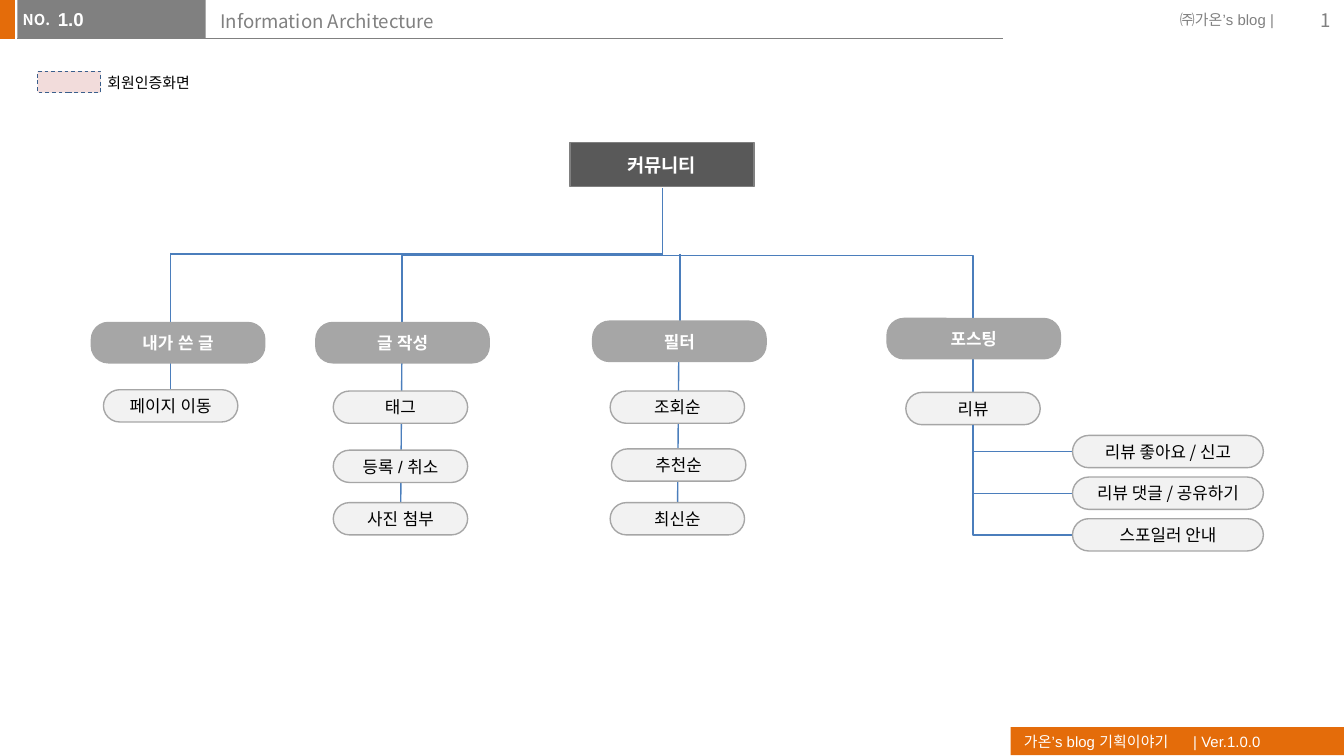
from lxml.etree import SubElement
from pptx import Presentation
from pptx.dml.color import RGBColor
from pptx.enum.dml import MSO_LINE
from pptx.enum.shapes import MSO_CONNECTOR, MSO_SHAPE
from pptx.enum.text import MSO_ANCHOR, MSO_AUTO_SIZE, PP_ALIGN
from pptx.oxml.ns import qn
from pptx.util import Inches, Pt

COLORS = {
    "orange": "E46C0A", "gray": "808080", "dark": "595959", "middle": "A6A6A6",
    "light": "F2F2F2", "pink": "F2DCDB", "navy": "3A5F8C", "blue": "4B7EBC",
    "white": "FFFFFF", "black": "000000",
}
KOREAN, LATIN = "Noto Sans CJK KR", "Arial"

TITLE, NUMBER = "Information Architecture", "1.0"
FOOTER = "가온’s blog 기획이야기\t| Ver.1.0.0"
BARS = [
    ((-0.01, 0, 0.12, 0.29), "orange"),
    ((0.13, 0, 1.4, 0.29), "gray"),
]
# place, text, size, font, colour, bold, alignment, anchor
LABELS = [
    ((0.07, 0.03, 0.41, 0.24), "NO.", 8, KOREAN, "white", True, PP_ALIGN.LEFT, MSO_ANCHOR.TOP),
    ((8.68, 0.03, 0.95, 0.24), "㈜가온’s blog |", 8, LATIN, "gray", False, PP_ALIGN.LEFT, MSO_ANCHOR.TOP),
    ((9.4, 0, 0.6, 0.3), "1", 10, KOREAN, "gray", False, PP_ALIGN.RIGHT, MSO_ANCHOR.MIDDLE),
    ((0.7, 0.5, 0.91, 0.24), "회원인증화면", 8, KOREAN, "black", False, PP_ALIGN.LEFT, MSO_ANCHOR.TOP),
]
ROOT = ((4.24, 1.06, 1.37, 0.33), "커뮤니티")
# heading, left and top of heading, font, then pages as (text, left, top)
BRANCHES = [
    ("내가 쓴 글", 0.68, 2.4, LATIN, [("페이지 이동", 0.77, 2.9)]),
    ("글 작성", 2.35, 2.4, LATIN,
     [("태그", 2.48, 2.91), ("등록 / 취소", 2.48, 3.35), ("사진 첨부", 2.48, 3.74)]),
    ("필터", 4.41, 2.39, LATIN,
     [("조회순", 4.54, 2.91), ("추천순", 4.55, 3.34), ("최신순", 4.54, 3.74)]),
    ("포스팅", 6.6, 2.37, KOREAN, [("리뷰", 6.74, 2.92)]),
]
REVIEWS = ["리뷰 좋아요 / 신고", "리뷰 댓글 / 공유하기", "스포일러 안내"]
REVIEW_LEFT, REVIEW_TOP, REVIEW_STEP, REVIEW_WIDTH = 7.98, 3.24, 0.31, 1.42
HEADING_WIDTH, HEADING_HEIGHT = 1.29, 0.3
PAGE_WIDTH, PAGE_HEIGHT = 1, 0.24
STEM, POSTING = 4.93, 7.24
LINES = [
    ((1.27, 1.88), (1.27, 3.14)),
    ((2.99, 2.7), (2.98, 3.98)),
    ((5.06, 1.89), (5.06, 2.43)),
    ((5.05, 2.69), (5.04, 3.97)),
    ((POSTING, 2.67), (POSTING, 2.92)),
]
# start, end, position of the middle bend (None for a single bend)
ELBOWS = [
    ((STEM, 1.4), (2.99, 2.4), 0.5),
    ((STEM, 1.4), (POSTING, 2.37), 0.518),
    ((STEM, 1.4), (1.27, 1.89), None),
]


def color(name):
    """Return the named colour."""
    return RGBColor.from_string(COLORS[name])


def write(frame, text, size, font, ink, bold=False, align=PP_ALIGN.LEFT,
          anchor=MSO_ANCHOR.TOP, before=0):
    """Put one formatted paragraph into a text frame."""
    frame.auto_size, frame.vertical_anchor = MSO_AUTO_SIZE.NONE, anchor
    para = frame.paragraphs[0]
    para.alignment, para.space_before = align, Pt(before)
    span = para.add_run()
    span.text = text
    for name, value in {"size": Pt(size), "name": font, "bold": bold}.items():
        setattr(span.font, name, value)
    span.font.color.rgb = color(ink)
    SubElement(span.font._element, qn("a:ea")).set("typeface", font)
    return para


def set_margins(frame, side, end):
    """Set the horizontal and vertical insets of a text frame."""
    frame.margin_left = frame.margin_right = Inches(side)
    frame.margin_top = frame.margin_bottom = Inches(end)


def add_box(place, fill, line=None, width=0.75, rounding=None):
    """Add a plain or rounded rectangle."""
    kind = MSO_SHAPE.RECTANGLE if rounding is None else MSO_SHAPE.ROUNDED_RECTANGLE
    box = page.shapes.add_shape(kind, *map(Inches, place))
    box.shadow.inherit = False
    if rounding is not None:
        box.adjustments[0] = rounding
    box.fill.solid()
    box.fill.fore_color.rgb = color(fill)
    if line:
        box.line.color.rgb, box.line.width = color(line), Pt(width)
    else:
        box.line.fill.background()
    return box


def add_node(place, text, fill, line, size, font, ink, bold, rounding=None):
    """Add one labelled box of the tree."""
    box = add_box(place, fill, line, rounding=rounding)
    set_margins(box.text_frame, 0.02, 0.02)
    box.text_frame.word_wrap = True
    write(box.text_frame, text, size, font, ink, bold,
          PP_ALIGN.CENTER, MSO_ANCHOR.MIDDLE, before=1)


def add_page_node(text, left, top, font, width=PAGE_WIDTH):
    """Add a pale pill for one screen."""
    add_node((left, top, width, PAGE_HEIGHT), text, "light", "middle", 9, font, "black", False, 0.5)


def add_line(start, end, ink="blue", width=0.75, kind=MSO_CONNECTOR.STRAIGHT):
    """Add a connector without shadow."""
    line = page.shapes.add_connector(kind, *map(Inches, (*start, *end)))
    line.line.color.rgb, line.line.width = color(ink), Pt(width)
    SubElement(line._element.spPr, qn("a:effectLst"))
    return line


def add_elbow(start, end, bend=None):
    """Add a bent connector that leaves its start downwards."""
    (x1, y1), (x2, y2) = start, end
    middle_x, middle_y = (x1 + x2) / 2, (y1 + y2) / 2
    half_x, half_y = (y2 - y1) / 2, (x1 - x2) / 2
    elbow = add_line((middle_x - half_x, middle_y - half_y),
                     (middle_x + half_x, middle_y + half_y), kind=MSO_CONNECTOR.ELBOW)
    properties = elbow._element.spPr
    properties.find(qn("a:xfrm")).set("rot", str(90 * 60000))
    geometry = properties.find(qn("a:prstGeom"))
    if bend is None:
        geometry.set("prst", "bentConnector2")
    else:
        guide = SubElement(geometry.find(qn("a:avLst")), qn("a:gd"))
        guide.set("name", "adj1")
        guide.set("fmla", f"val {round(bend * 100000)}")


def place_placeholder(holder, place):
    """Move a placeholder to its place."""
    for name, value in zip(("left", "top", "width", "height"), place):
        setattr(holder, name, Inches(value))
    return holder.text_frame


deck = Presentation()
deck.slide_width = Inches(10)
deck.slide_height = deck.slide_width * 9 // 16
page = deck.slides.add_slide(deck.slide_layouts[1])

for place, fill in BARS:
    add_box(place, fill)
add_line((0.13, 0.29), (7.46, 0.29), "gray", 0.5)

footer = add_box((7.52, 5.41, 2.48, 0.21), "orange")
para = write(footer.text_frame, FOOTER, 8, LATIN, "white", anchor=MSO_ANCHOR.MIDDLE)
stop = SubElement(SubElement(para._p.get_or_add_pPr(), qn("a:tabLst")), qn("a:tab"))
stop.set("pos", str(Inches(1.26)))
stop.set("algn", "l")

for place, text, *style in LABELS:
    label = page.shapes.add_textbox(*map(Inches, place))
    label.text_frame.word_wrap = False
    write(label.text_frame, text, *style)

title = place_placeholder(page.shapes.title, (1.54, 0.02, 5.91, 0.32))
write(title, TITLE, 10, KOREAN, "gray")
number = place_placeholder(page.placeholders[1], (0.43, 0.01, 1.1, 0.31))
set_margins(number, 0, 0.05)
para = write(number, NUMBER, 10, LATIN, "white", True, before=2)
SubElement(para._p.get_or_add_pPr(), qn("a:buNone"))
# Placeholders come first in the tree, so they are raised above the header bars.
for holder in (page.shapes.title, page.placeholders[1]):
    page.shapes._spTree.append(holder._element)

legend = add_box((0.28, 0.53, 0.47, 0.16), "pink", "navy", 0.5)
legend.line.dash_style = MSO_LINE.DASH

for start, end in LINES:
    add_line(start, end)
for elbow in ELBOWS:
    add_elbow(*elbow)

add_node(*ROOT, "dark", "gray", 10, LATIN, "white", True)
for heading, left, top, font, screens in BRANCHES:
    add_node((left, top, HEADING_WIDTH, HEADING_HEIGHT), heading,
             "middle", "middle", 9, font, "white", True, 0.417)
    for text, screen_left, screen_top in screens:
        add_page_node(text, screen_left, screen_top, font)

for index, text in enumerate(REVIEWS):
    top = REVIEW_TOP + index * REVIEW_STEP
    add_elbow((POSTING, 3.16), (REVIEW_LEFT, top + PAGE_HEIGHT / 2))
    add_page_node(text, REVIEW_LEFT, top, KOREAN, REVIEW_WIDTH)

deck.save("out.pptx")
